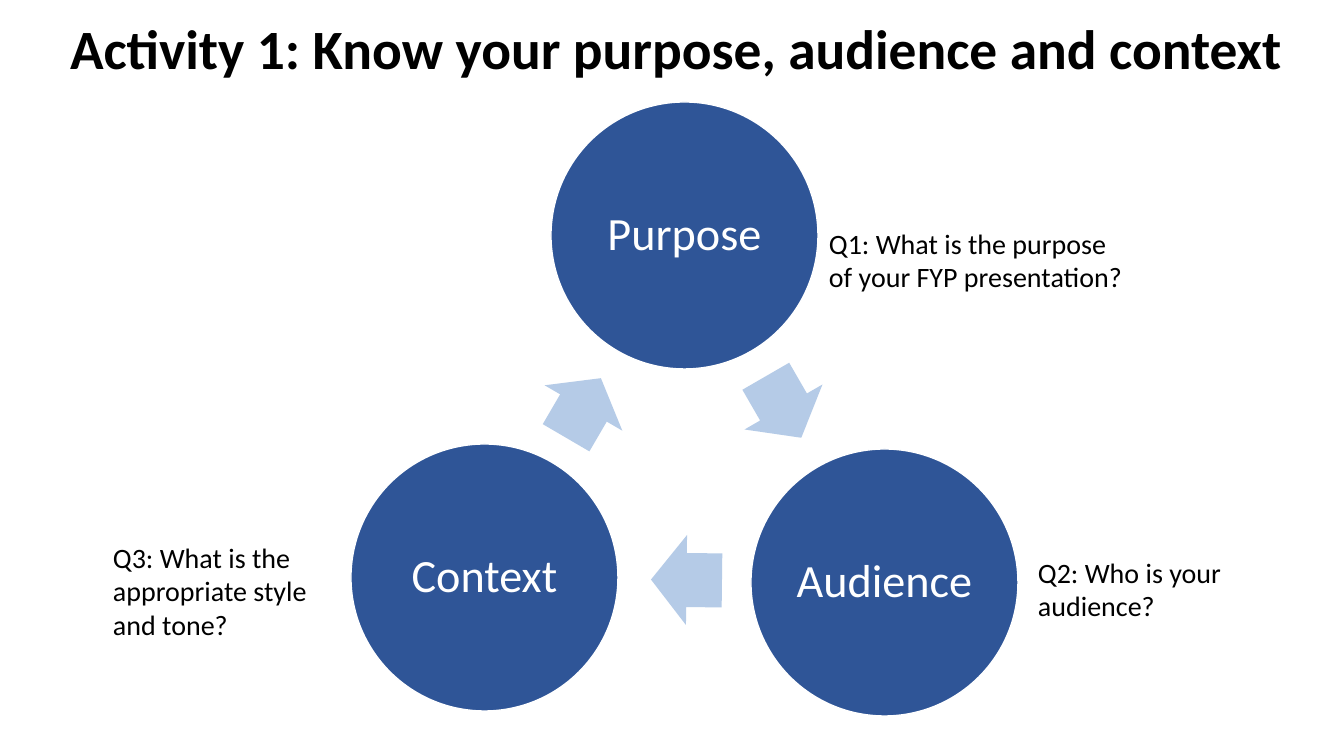
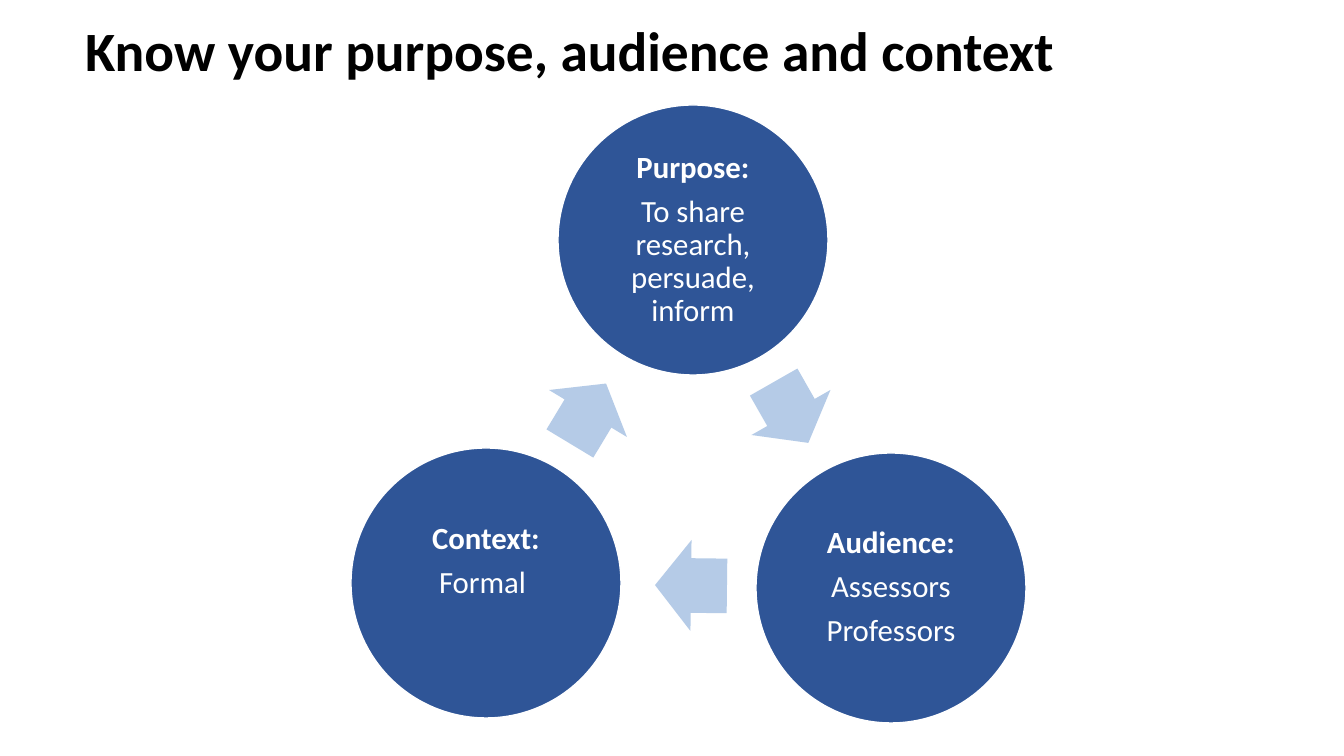
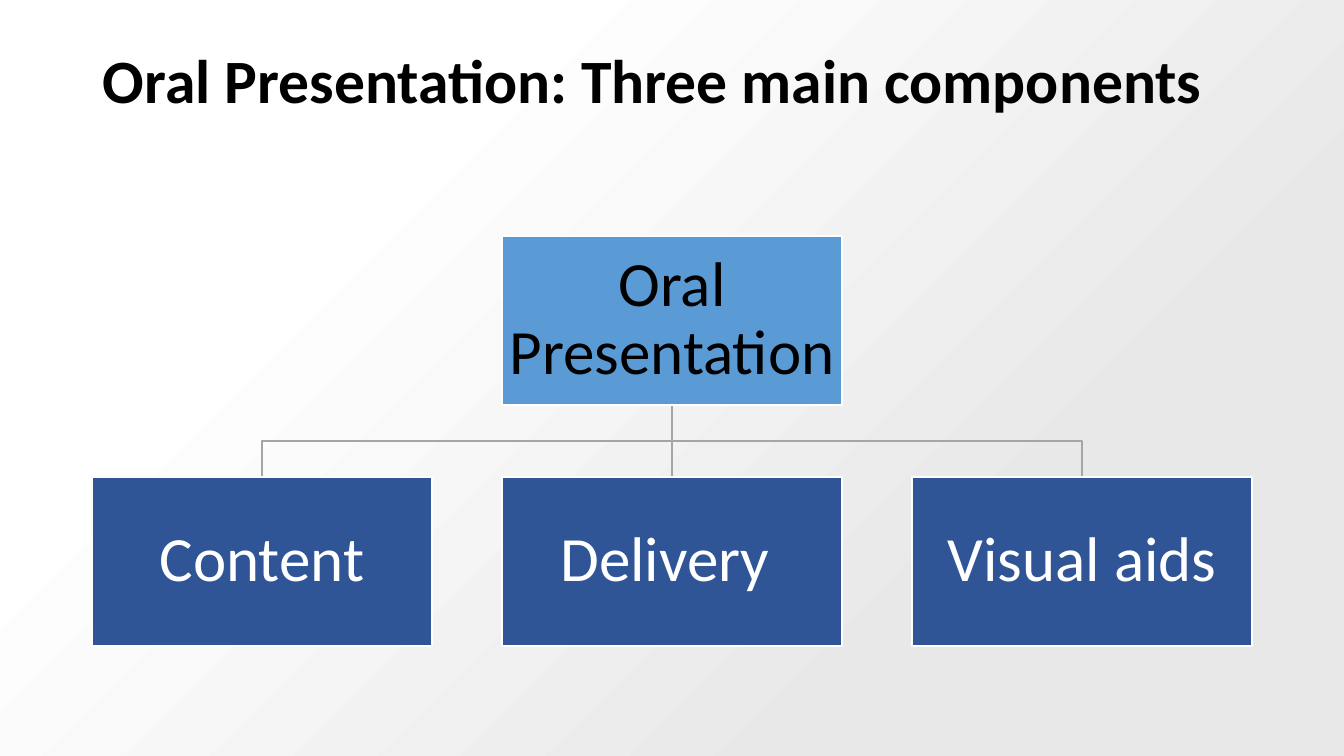
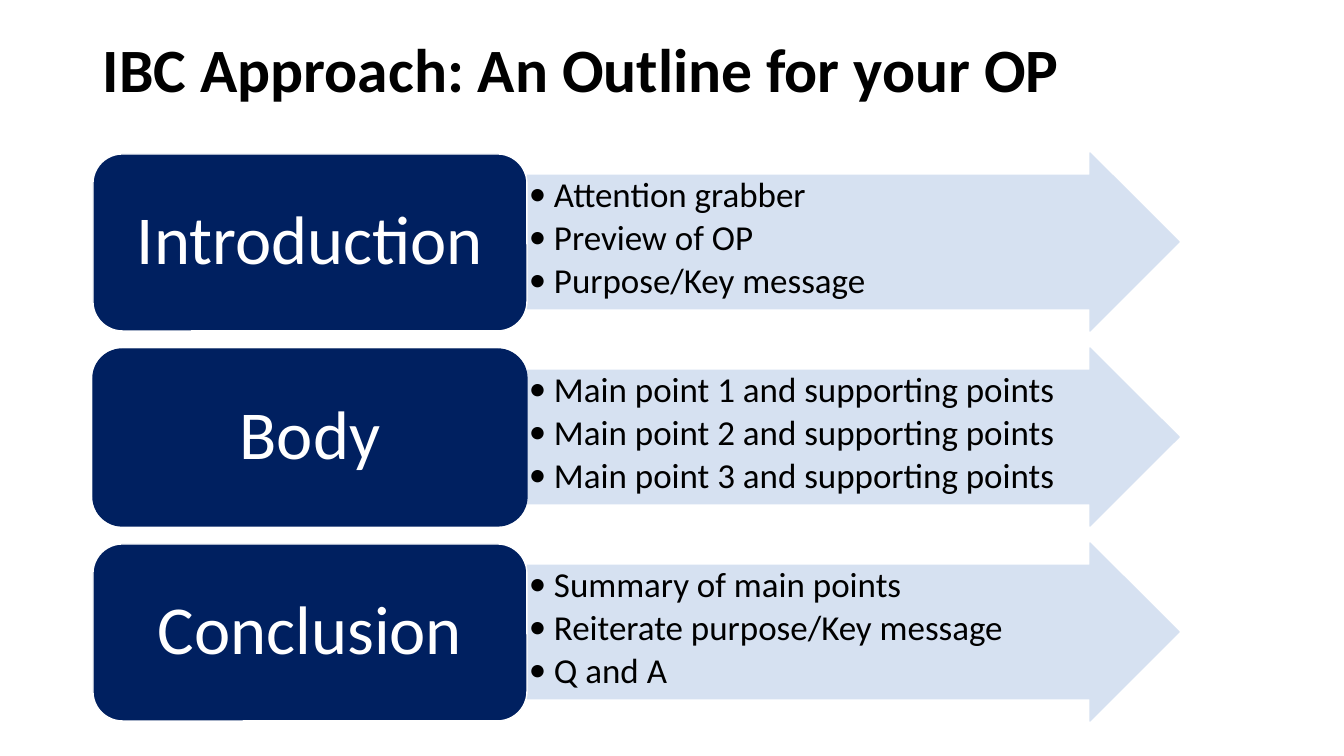
from pptx import Presentation
from pptx.dml.color import RGBColor
from pptx.enum.shapes import MSO_SHAPE
from pptx.enum.text import MSO_ANCHOR, MSO_AUTO_SIZE, PP_ALIGN
from pptx.oxml import parse_xml
from pptx.oxml.ns import nsdecls
from pptx.util import Pt

# Shared scale, font and colours
PX = 9071  # EMU per px
FONT = "Calibri"
BLACK, WHITE, GREY = "000000", "FFFFFF", "A5A5A5"
BLUE, LIGHT_BLUE, SKY = "2F5597", "B5CBE7", "5B9BD5"
NAVY, PALE = "002060", "D6E1F1"
color = RGBColor.from_string


def add_block(slide, preset, box, fill, line=None):
    shape = slide.shapes.add_shape(preset, *(value * PX for value in box))
    shape.shadow.inherit = False
    shape.fill.solid()
    shape.fill.fore_color.rgb = color(fill)
    if line:
        shape.line.color.rgb = color(line)
        shape.line.width = Pt(1)
    else:
        shape.line.fill.background()
    return shape


def write(shape, lines, size, ink, inset=(10, 5), align=PP_ALIGN.CENTER,
          anchor=MSO_ANCHOR.MIDDLE, spacing=0.9, after=0.0, bold=False):
    """Fill a shape with paragraphs; bold applies to the first one."""
    frame = shape.text_frame
    frame.text = "\n".join(lines)
    frame.word_wrap = True
    frame.auto_size = MSO_AUTO_SIZE.NONE
    frame.vertical_anchor = anchor
    frame.margin_left = frame.margin_right = inset[0] * PX
    frame.margin_top = frame.margin_bottom = inset[1] * PX
    for index, paragraph in enumerate(frame.paragraphs):
        paragraph.alignment = align
        paragraph.line_spacing = spacing
        paragraph.space_before = Pt(0)
        paragraph.space_after = Pt(round(size * after, 2))
        for run in paragraph.runs:
            run.font.name = FONT
            run.font.size = Pt(size)
            run.font.bold = bold and index == 0
            run.font.color.rgb = color(ink)


presentation = Presentation()
presentation.slide_width = 1344 * PX
presentation.slide_height = 756 * PX

# Slides and their titles
titles = [
    ("Activity 1: Know your purpose, audience and context", (60, 21, 1249, 61), 39.6),
    ("Know your purpose, audience and context", (75, 21, 1176, 65), 39.6),
    ("Oral Presentation: Three main components", (93, 41, 1159, 86), 44),
    ("IBC Approach: An Outline for your OP", (93, 22, 1159, 102), 44),
]
slides = []
for text, box, size in titles:
    slide = presentation.slides.add_slide(presentation.slide_layouts[5])
    title = slide.shapes.title
    title.left, title.top, title.width, title.height = (value * PX for value in box)
    write(title, [text], size, BLACK, align=PP_ALIGN.LEFT, bold=True)
    slides.append(slide)
activity_slide, answer_slide, components_slide, outline_slide = slides

# Slides 1 and 2: cycle of three circles joined by arrows
cycles = [
    {
        "slide": activity_slide, "diameter": 267, "size": 33, "inset": 5, "bold": False,
        "circles": [((551, 102), ["Purpose"]),
                    ((751, 449), ["Audience"]),
                    ((351, 444), ["Context"])],
        "arrows": [((748, 362, 71, 90), 60), ((651, 535, 71, 90), 180.7),
                   ((549, 363, 69, 90), 300.3)],
    },
    {
        "slide": answer_slide, "diameter": 270, "size": 22, "inset": 3, "bold": True,
        "circles": [((558, 105), ["Purpose:", "To share research, persuade, inform"]),
                    ((756, 453), ["Audience:", "Assessors", "Professors"]),
                    ((351, 448), ["Context:", "Formal "])],
        "arrows": [((756, 367, 70, 91), 60.3), ((655, 540, 72, 91), 180.7),
                   ((553, 368, 70, 91), 301.1)],
    },
]
for cycle in cycles:
    diameter = cycle["diameter"]
    for corner, lines in cycle["circles"]:
        circle = add_block(cycle["slide"], MSO_SHAPE.OVAL,
                           (*corner, diameter, diameter), BLUE, WHITE)
        write(circle, lines, cycle["size"], WHITE, inset=(cycle["inset"],) * 2,
              after=0.35, bold=cycle["bold"])
        if lines[0] == "Context:":
            circle.text_frame.margin_bottom = 46 * PX  # lifts the text by half a line
    for box, angle in cycle["arrows"]:
        arrow = add_block(cycle["slide"], MSO_SHAPE.RIGHT_ARROW, box, LIGHT_BLUE)
        arrow.adjustments[0] = 0.6
        arrow.rotation = angle

# Slide 1: questions beside the circles
questions = [
    ("Q1: What is the purpose of your FYP presentation?", (819, 221, 324, 78)),
    ("Q3: What is the appropriate style and tone?", (103, 535, 257, 112)),
    ("Q2: Who is your audience?", (1028, 550, 242, 78)),
]
for text, box in questions:
    question = activity_slide.shapes.add_textbox(*(value * PX for value in box))
    write(question, [text], 20, BLACK, align=PP_ALIGN.LEFT,
          anchor=MSO_ANCHOR.TOP, spacing=1.0)

# Slide 3: gradient backdrop, sent behind the title
backdrop = add_block(components_slide, MSO_SHAPE.RECTANGLE, (0, 0, 1344, 756), WHITE)
backdrop.fill.gradient()
backdrop.fill.gradient_angle = 315
for stop, position, tone in zip(backdrop.fill.gradient_stops, (0.26, 0.74), (WHITE, "E9E8E8")):
    stop.position = position
    stop.color.rgb = color(tone)
components_slide.shapes.title._element.addprevious(backdrop._element)

# Slide 3: tree lines from the parent box to each child
box_width, box_height, step = 340, 169, 410
left, parent_top, child_top = 92, 236, 477
parent_bottom = parent_top + box_height
branch_y = (parent_bottom + child_top) // 2
centers = [left + box_width // 2 + step * column for column in range(3)]
for center in reversed(centers):
    builder = components_slide.shapes.build_freeform(centers[1], parent_bottom, scale=PX)
    bends = [(centers[1], branch_y), (center, branch_y)] if center != centers[1] else []
    builder.add_line_segments([*bends, (center, child_top)], close=False)
    branch = builder.convert_to_shape()
    branch.shadow.inherit = False
    branch.fill.background()
    branch.line.color.rgb = color(GREY)
    branch.line.width = Pt(1)

# Slide 3: tree boxes
tree_boxes = [
    ("Oral Presentation", 1, parent_top, SKY, BLACK),
    ("Content", 0, child_top, BLUE, WHITE),
    ("Delivery ", 1, child_top, BLUE, WHITE),
    ("Visual aids", 2, child_top, BLUE, WHITE),
]
for text, column, top, fill, ink in tree_boxes:
    box = add_block(components_slide, MSO_SHAPE.RECTANGLE,
                    (left + step * column, top, box_width, box_height), fill, WHITE)
    write(box, [text], 45, ink, inset=(3, 3), after=0.35)

# Slide 4: one row per part of the talk
parts = [
    ("Introduction", WHITE,
     ["Attention grabber", "Preview of OP", "Purpose/Key message"]),
    ("Body", NAVY,
     [f"Main point {number} and supporting points" for number in (1, 2, 3)]),
    ("Conclusion", WHITE,
     ["Summary of main points", "Reiterate purpose/Key message", "Q and A"]),
]
for row, (name, outline, points) in enumerate(parts):
    top = 154 + 195 * row
    arrow = add_block(outline_slide, MSO_SHAPE.RIGHT_ARROW, (527, top - 1, 652, 178), PALE, PALE)
    arrow.adjustments[0] = 0.75
    write(arrow, points, 25, BLACK, inset=(2, 2), align=PP_ALIGN.LEFT,
          anchor=MSO_ANCHOR.TOP, after=0.15)
    for paragraph in arrow.text_frame.paragraphs:
        properties = paragraph._p.get_or_add_pPr()
        properties.set("marL", str(25 * PX))
        properties.set("indent", str(-25 * PX))
        properties.append(parse_xml(f'<a:buFont {nsdecls("a")} typeface="{FONT}"/>'))
        properties.append(parse_xml(f'<a:buChar {nsdecls("a")} char="•"/>'))
    block = add_block(outline_slide, MSO_SHAPE.ROUNDED_RECTANGLE,
                      (93, top, 434, 177), NAVY, outline)
    write(block, [name], 49, WHITE, inset=(20, 10), after=0.35)

presentation.save("out.pptx")
